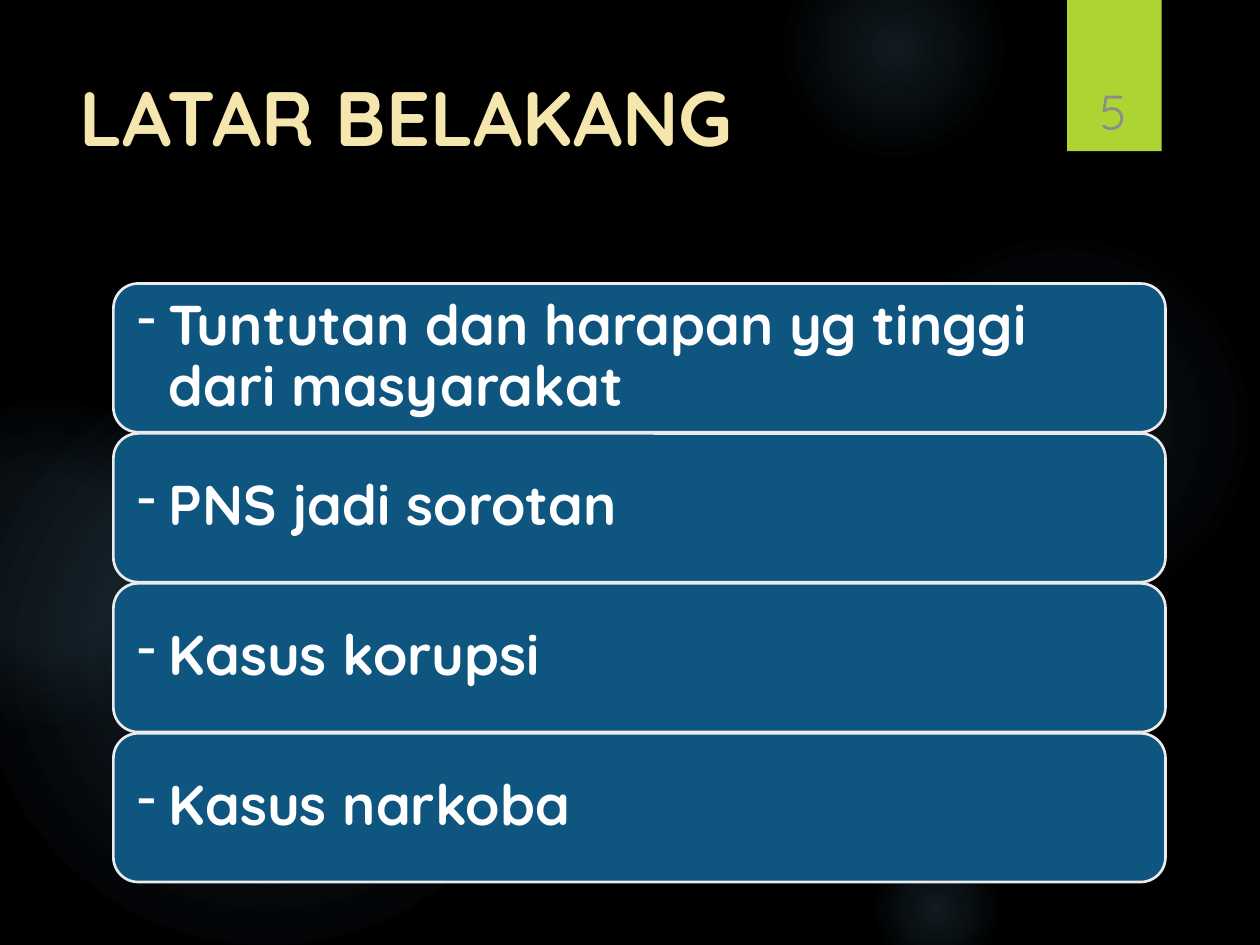
import pptx
import pptx.util
import pptx.dml.color
import pptx.enum.shapes
import pptx.enum.text
import pptx.oxml
import pptx.oxml.ns

Inches = pptx.util.Inches
SHAPE = pptx.enum.shapes.MSO_SHAPE
ANCHOR = pptx.enum.text.MSO_ANCHOR
ALIGN = pptx.enum.text.PP_ALIGN
NAMESPACE = pptx.oxml.ns.nsdecls("a")


def color(hex_value):
    return pptx.dml.color.RGBColor.from_string(hex_value)


def write(shape, text, size, hex_value, bold, frame_format, align):
    """Fill a shape's text frame with one formatted paragraph."""
    frame = shape.text_frame
    for name, value in frame_format.items():
        setattr(frame, name, value)
    para = frame.paragraphs[0]
    para.alignment = align
    span = para.add_run()
    span.text = text
    font_format = {"name": "Quicksand", "size": pptx.util.Pt(size), "bold": bold}
    for name, value in font_format.items():
        setattr(span.font, name, value)
    span.font.color.rgb = color(hex_value)
    return para


deck = pptx.Presentation()
deck.slide_width, deck.slide_height = Inches(10), Inches(7.5)
page = deck.slides.add_slide(deck.slide_layouts[6])
page.background.fill.solid()
page.background.fill.fore_color.rgb = color("000000")

# Soft background glows: left, top, diameter, (position, opacity) stops in percent
glows = [
    (6.89, 1.83, 3.08, [(0, 7), (36, 6), (69, 0)]),
    (6.22, -0.5, 1.75, [(0, 14), (36, 7), (73, 0)]),
    (6.89, 6.67, 1.08, [(0, 14), (36, 7), (66, 0)]),
    (-0.17, 2.92, 4.58, [(0, 11), (36, 10), (75, 0)]),
    (-0.92, 3.17, 2.58, [(0, 8), (36, 8), (72, 0)]),
]
for left, top, diameter, stops in glows:
    glow = page.shapes.add_shape(
        SHAPE.OVAL, Inches(left), Inches(top), Inches(diameter), Inches(diameter))
    glow.shadow.inherit = False
    glow.line.fill.background()
    stop_xml = "".join(
        f'<a:gs pos="{position * 1000}"><a:srgbClr val="7AC4F0">'
        f'<a:alpha val="{opacity * 1000}"/></a:srgbClr></a:gs>'
        for position, opacity in stops)
    gradient = pptx.oxml.parse_xml(
        f'<a:gradFill {NAMESPACE} rotWithShape="1"><a:gsLst>{stop_xml}</a:gsLst>'
        '<a:path path="circle"><a:fillToRect l="50000" t="50000" r="50000" b="50000"/>'
        '</a:path></a:gradFill>')
    glow.element.spPr.find(pptx.oxml.ns.qn("a:prstGeom")).addnext(gradient)

# Green page-number tab with a soft shadow
tab = page.shapes.add_shape(
    SHAPE.RECTANGLE, Inches(8.47), Inches(0), Inches(0.75), Inches(1.2))
tab.fill.solid()
tab.fill.fore_color.rgb = color("ACD433")
tab.line.fill.background()
tab.shadow.inherit = False
tab.element.spPr.find(pptx.oxml.ns.qn("a:effectLst")).append(pptx.oxml.parse_xml(
    f'<a:outerShdw {NAMESPACE} blurRad="38100" dist="25400" dir="5400000" rotWithShape="0">'
    '<a:srgbClr val="000000"><a:alpha val="45000"/></a:srgbClr></a:outerShdw>'))

# Title with a thin gold outline
title = page.shapes.add_textbox(Inches(0.53), Inches(0.5), Inches(7.72), Inches(1.53))
title_para = write(title, "LATAR BELAKANG", 44, "F5E6AD", True,
                   {"word_wrap": True, "vertical_anchor": ANCHOR.TOP}, ALIGN.LEFT)
title_para.runs[0].font._element.insert(0, pptx.oxml.parse_xml(
    f'<a:ln {NAMESPACE} w="22225"><a:solidFill><a:srgbClr val="E6C133"/></a:solidFill></a:ln>'))

# Stack of bulleted points
points = [
    "Tuntutan dan harapan yg tinggi dari masyarakat",
    "PNS jadi sorotan",
    "Kasus korupsi",
    "Kasus narkoba",
]
point_frame = {"word_wrap": True, "vertical_anchor": ANCHOR.MIDDLE}
for side in ("left", "top", "right", "bottom"):
    point_frame[f"margin_{side}"] = Inches(0.13)
for row, point in enumerate(points):
    box = page.shapes.add_shape(
        SHAPE.ROUNDED_RECTANGLE, Inches(0.9), Inches(2.25 + 1.19 * row),
        Inches(8.35), Inches(1.18))
    box.shadow.inherit = False
    box.fill.solid()
    box.fill.fore_color.rgb = color("0E5580")
    box.line.color.rgb = color("EBEBEB")
    box.line.width = pptx.util.Pt(1.5)
    para = write(box, point, 32, "FFFFFF", True, point_frame, ALIGN.LEFT)
    para.line_spacing = 0.9
    properties = para._p.get_or_add_pPr()
    properties.set("marL", str(Inches(0.25)))
    properties.set("indent", str(-Inches(0.25)))
    properties.append(pptx.oxml.parse_xml(f'<a:buChar {NAMESPACE} char="-"/>'))

# Page number
number = page.shapes.add_textbox(Inches(8.49), Inches(0.32), Inches(0.69), Inches(0.84))
write(number, "5", 28, "8C8C8C", False,
      {"word_wrap": True, "vertical_anchor": ANCHOR.BOTTOM}, ALIGN.CENTER)

deck.save("out.pptx")
